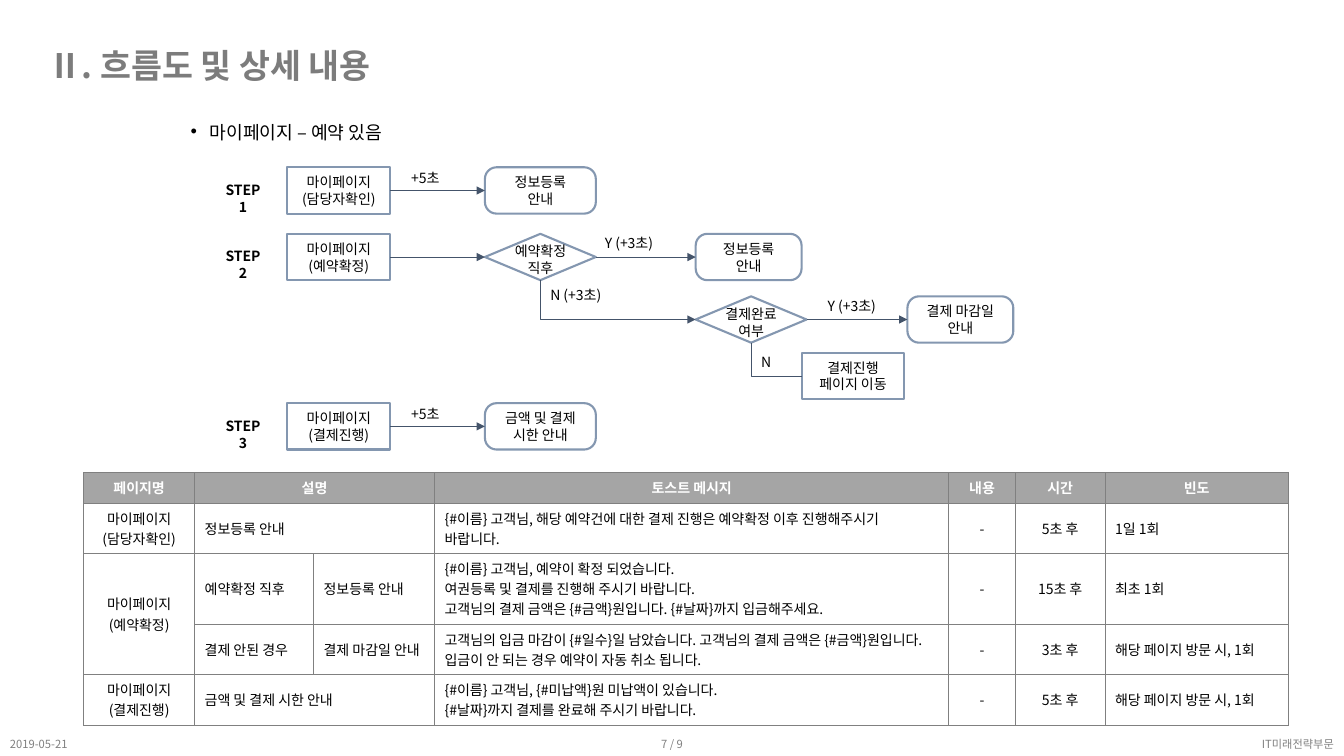
from dataclasses import dataclass

import pptx
import pptx.dml.color
import pptx.enum.shapes
import pptx.enum.text
import pptx.oxml
import pptx.oxml.ns
import pptx.util
from lxml import etree

Inches = pptx.util.Inches
Pt = pptx.util.Pt
SHAPE = pptx.enum.shapes.MSO_SHAPE
CONNECTOR = pptx.enum.shapes.MSO_CONNECTOR
ALIGN = pptx.enum.text.PP_ALIGN
ANCHOR = pptx.enum.text.MSO_ANCHOR
TOP, LEFT, BOTTOM, RIGHT = range(4)


@dataclass(frozen=True)
class Theme:
    font: str = "Noto Sans CJK KR"
    text: str = "000000"
    title: str = "7C7C7C"
    footer: str = "808080"
    outline: str = "8497B0"
    arrow: str = "44546A"
    grid: str = "808080"
    header_fill: str = "A5A5A5"
    header_text: str = "FFFFFF"
    title_size: int = 24
    lead_size: int = 13
    body_size: int = 10
    footer_size: int = 8


THEME = Theme()
COLUMN_WIDTHS = [1.1, 1.18, 1.2, 5.1, 0.66, 0.89, 1.82]
ROW_HEIGHTS = [0.28, 0.36, 0.36, 0.36, 0.36]
CENTERED_COLUMNS = {0, 4, 5}
MERGES = [((0, 1), (0, 2)), ((1, 1), (1, 2)), ((2, 0), (3, 0)), ((4, 1), (4, 2))]
ROWS = [
    ["페이지명", "설명", "", "토스트 메시지", "내용", "시간", "빈도"],
    ["마이페이지\v(담당자확인)", "정보등록 안내", "",
     "{#이름} 고객님, 해당 예약건에 대한 결제 진행은 예약확정 이후 진행해주시기\v바랍니다.",
     "-", "5초 후", "1일 1회"],
    ["마이페이지\v(예약확정)", "예약확정 직후", "정보등록 안내",
     "{#이름} 고객님, 예약이 확정 되었습니다.\v여권등록 및 결제를 진행해 주시기 바랍니다.\v"
     "고객님의 결제 금액은 {#금액}원입니다. {#날짜}까지 입금해주세요.",
     "-", "15초 후", "최초 1회"],
    ["", "결제 안된 경우", "결제 마감일 안내",
     "고객님의 입금 마감이 {#일수}일 남았습니다. 고객님의 결제 금액은 {#금액}원입니다. "
     "입금이 안 되는 경우 예약이 자동 취소 됩니다.",
     "-", "3초 후", "해당 페이지 방문 시, 1회"],
    ["마이페이지\v(결제진행)", "금액 및 결제 시한 안내", "",
     "{#이름} 고객님, {#미납액}원 미납액이 있습니다.\v{#날짜}까지 결제를 완료해 주시기 바랍니다.",
     "-", "5초 후", "해당 페이지 방문 시, 1회"],
]


def rgb(color):
    return pptx.dml.color.RGBColor.from_string(color)


def write(text_frame, text, size=THEME.body_size, color=THEME.text, bold=False,
          align=ALIGN.LEFT, anchor=ANCHOR.TOP):
    text_frame.text = text
    text_frame.vertical_anchor = anchor
    paragraph = text_frame.paragraphs[0]
    paragraph.alignment = align
    for run in paragraph.runs:
        run.font.name = THEME.font
        run.font.size = Pt(size)
        run.font.bold = bold
        run.font.color.rgb = rgb(color)
    return paragraph


def place(shape, left, top, width, height):
    shape.left, shape.top = Inches(left), Inches(top)
    shape.width, shape.height = Inches(width), Inches(height)


def add_label(slide, text, left, top, width, height=0.27, **style):
    box = slide.shapes.add_textbox(Inches(left), Inches(top), Inches(width), Inches(height))
    box.text_frame.word_wrap = True
    write(box.text_frame, text, **style)


def add_node(slide, kind, text, left, top, width):
    shape = slide.shapes.add_shape(kind, Inches(left), Inches(top), Inches(width), Inches(0.46))
    shape.shadow.inherit = False
    shape.fill.background()
    shape.line.color.rgb = rgb(THEME.outline)
    shape.line.width = Pt(1.5)
    if kind == SHAPE.ROUNDED_RECTANGLE:
        shape.adjustments[0] = 0.25
    if text:
        shape.text_frame.word_wrap = True
        write(shape.text_frame, text, align=ALIGN.CENTER, anchor=ANCHOR.MIDDLE)
    return shape


def add_decision(slide, text, left, top):
    diamond = add_node(slide, SHAPE.FLOWCHART_DECISION, "", left, top, 1.1)
    add_label(slide, text, left + 0.16, top + 0.04, 0.78, 0.44, align=ALIGN.CENTER)
    return diamond


def style_connector(connector, arrow):
    connector.line.color.rgb = rgb(THEME.arrow)
    connector.line.width = Pt(0.5)
    if arrow:
        line = connector.line._get_or_add_ln()
        etree.SubElement(line, pptx.oxml.ns.qn("a:tailEnd"), type="triangle")
    etree.SubElement(connector._element.spPr, pptx.oxml.ns.qn("a:effectLst"))


def link(slide, source, target):
    connector = slide.shapes.add_connector(CONNECTOR.STRAIGHT, 0, 0, 0, 0)
    connector.begin_connect(source, RIGHT)
    connector.end_connect(target, LEFT)
    style_connector(connector, arrow=True)


def link_down(slide, source, target, arrow):
    """Draw a one-bend connector from the foot of source to the left side of target."""
    start_x, start_y = source.left + source.width // 2, source.top + source.height
    end_x, end_y = target.left, target.top + target.height // 2
    across, down = end_x - start_x, end_y - start_y
    connector = slide.shapes.add_connector(CONNECTOR.ELBOW, 0, 0, 0, 0)
    connector.left = (start_x + end_x - down) // 2
    connector.top = (start_y + end_y - across) // 2
    connector.width, connector.height = down, across
    properties = connector._element.spPr
    properties.xfrm.set("rot", str(270 * 60000))
    properties.xfrm.set("flipH", "1")
    properties.find(pptx.oxml.ns.qn("a:prstGeom")).set("prst", "bentConnector2")
    style_connector(connector, arrow)


def add_heading(slide):
    title, body = slide.placeholders
    place(title, 0.38, 0.4, 5.04, 0.5)
    write(title.text_frame, "Ⅱ. 흐름도 및 상세 내용", THEME.title_size, THEME.title, bold=True)
    place(body, 1.79, 1.04, 2.45, 0.43)
    paragraph = write(body.text_frame, "마이페이지 – 예약 있음", THEME.lead_size)
    paragraph.line_spacing = 1.5
    paragraph.space_before = Pt(0)
    properties = paragraph._p.get_or_add_pPr()
    properties.set("marL", str(Inches(0.19)))
    properties.set("indent", str(Inches(-0.19)))
    etree.SubElement(properties, pptx.oxml.ns.qn("a:buFont"), typeface="Arial")
    etree.SubElement(properties, pptx.oxml.ns.qn("a:buChar"), char="•")


def add_flow(slide, left, top):
    """Place the three steps, with left and top at the corner of the first page box."""
    second, payment, move, third = top + 0.66, top + 1.28, top + 1.84, top + 2.34
    result_x, branch_x, deadline_x = left + 1.96, left + 4.05, left + 6.15
    pages = []
    steps = [(top, "담당자확인"), (second, "예약확정"), (third, "결제진행")]
    for number, (row, name) in enumerate(steps, start=1):
        add_label(slide, f"STEP{number}", left - 0.75, row + 0.09, 0.62,
                  bold=True, align=ALIGN.CENTER)
        pages.append(add_node(slide, SHAPE.RECTANGLE, f"마이페이지\v({name})", left, row, 1.02))

    rounded = SHAPE.ROUNDED_RECTANGLE
    register = add_node(slide, rounded, "정보등록\v안내", result_x, top, 1.1)
    confirmed = add_decision(slide, "예약확정 직후", result_x, second)
    register_again = add_node(slide, rounded, "정보등록\v안내", branch_x, second, 1.05)
    paid = add_decision(slide, "결제완료 여부", branch_x, payment)
    deadline = add_node(slide, rounded, "결제 마감일 안내", deadline_x, payment, 1.05)
    move_page = add_node(slide, SHAPE.RECTANGLE, "결제진행\v페이지 이동", left + 5.1, move, 1.02)
    amount = add_node(slide, rounded, "금액 및 결제 시한 안내", result_x, third, 1.1)

    for source, target in [(pages[0], register), (pages[1], confirmed), (pages[2], amount),
                           (confirmed, register_again), (paid, deadline)]:
        link(slide, source, target)
    link_down(slide, confirmed, paid, arrow=True)
    link_down(slide, paid, move_page, arrow=False)

    for row in (top, third):
        add_label(slide, "+5초", left + 1.13, row - 0.03, 0.55)
    for text, x, y in [("Y (+3초)", result_x + 1.09, second - 0.04),
                       ("N (+3초)", result_x + 0.55, second + 0.47),
                       ("Y (+3초)", branch_x + 1.21, payment - 0.04),
                       ("N", branch_x + 0.55, payment + 0.52)]:
        add_label(slide, text, x, y, 0.76)


def add_borders(cell):
    properties = cell._tc.get_or_add_tcPr()
    for side in ("lnL", "lnR", "lnT", "lnB"):
        properties.append(pptx.oxml.parse_xml(
            f'<a:{side} {pptx.oxml.ns.nsdecls("a")} w="{Pt(0.5)}"><a:solidFill>'
            f'<a:srgbClr val="{THEME.grid}"/></a:solidFill></a:{side}>'))


def add_message_table(slide, left, top):
    table = slide.shapes.add_table(
        len(ROWS), len(COLUMN_WIDTHS), Inches(left), Inches(top),
        Inches(sum(COLUMN_WIDTHS)), Inches(sum(ROW_HEIGHTS))).table
    for column, width in zip(table.columns, COLUMN_WIDTHS):
        column.width = Inches(width)
    for row, height in zip(table.rows, ROW_HEIGHTS):
        row.height = Inches(height)
    for first, last in MERGES:
        table.cell(*first).merge(table.cell(*last))
    for row_index, texts in enumerate(ROWS):
        header = row_index == 0
        for column_index, text in enumerate(texts):
            cell = table.cell(row_index, column_index)
            add_borders(cell)
            if header:
                cell.fill.solid()
                cell.fill.fore_color.rgb = rgb(THEME.header_fill)
            else:
                cell.fill.background()
            if text:
                centered = header or column_index in CENTERED_COLUMNS
                write(cell.text_frame, text, bold=header,
                      color=THEME.header_text if header else THEME.text,
                      align=ALIGN.CENTER if centered else ALIGN.LEFT)
                cell.vertical_anchor = ANCHOR.TOP if header else ANCHOR.MIDDLE


def add_footer(slide, top):
    for text, left, width, align in [("2019-05-21", 0, 2.25, ALIGN.LEFT),
                                     ("7 / 9", 5.54, 2.25, ALIGN.CENTER),
                                     ("IT미래전략부문", 9.96, 3.37, ALIGN.RIGHT)]:
        add_label(slide, text, left, top, width, 0.24, size=THEME.footer_size,
                  color=THEME.footer, align=align, anchor=ANCHOR.MIDDLE)


def main():
    presentation = pptx.Presentation()
    presentation.slide_width, presentation.slide_height = Inches(13.33), Inches(7.5)
    slide = presentation.slides.add_slide(presentation.slide_layouts[1])
    add_heading(slide)
    add_message_table(slide, 0.83, 4.69)
    add_flow(slide, 2.85, 1.66)
    add_footer(slide, 7.26)
    presentation.save("out.pptx")


if __name__ == "__main__":
    main()
